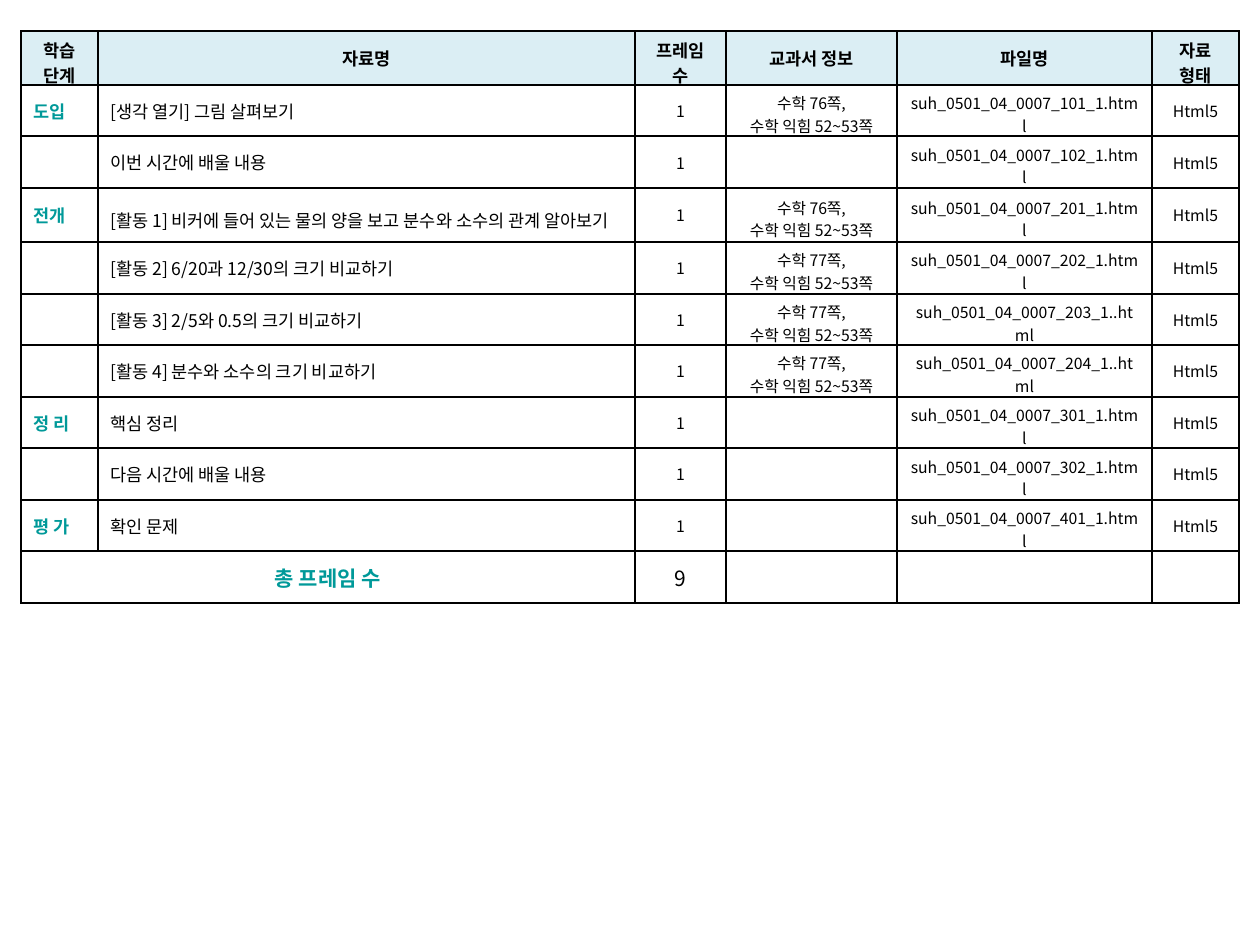
from lxml.etree import SubElement
from pptx import Presentation
from pptx.dml.color import RGBColor
from pptx.enum.text import MSO_ANCHOR, PP_ALIGN
from pptx.oxml.ns import qn
from pptx.util import Emu, Pt

PX = 914400 // 126
FONT = "Noto Sans CJK KR"
BLACK, TEAL, HEADER_FILL = "000000", "009999", "DBEEF4"

LEFT, TOP = 21, 31
COLUMN_WIDTHS = [77, 537, 91, 171, 255, 87]
HEADER_HEIGHT = 54
ROW_HEIGHTS = [51, 52]  # alternating below the header

HEADERS = ["학습 단계", "자료명", "프레임 수", "교과서 정보", "파일명", "자료\n형태"]
PAGES_76 = "수학 76쪽,\n수학 익힘 52~53쪽"
PAGES_77 = "수학 77쪽,\n수학 익힘 52~53쪽"
MATERIALS = [  # stage, material, textbook pages, file
    ("도입", "[생각 열기] 그림 살펴보기", PAGES_76, "suh_0501_04_0007_101_1.html"),
    ("", "이번 시간에 배울 내용", "", "suh_0501_04_0007_102_1.html"),
    ("전개", "[활동 1] 비커에 들어 있는 물의 양을 보고 분수와 소수의 관계 알아보기",
     PAGES_76, "suh_0501_04_0007_201_1.html"),
    ("", "[활동 2] 6/20과 12/30의 크기 비교하기", PAGES_77, "suh_0501_04_0007_202_1.html"),
    ("", "[활동 3] 2/5와 0.5의 크기 비교하기", PAGES_77, "suh_0501_04_0007_203_1..html"),
    ("", "[활동 4] 분수와 소수의 크기 비교하기", PAGES_77, "suh_0501_04_0007_204_1..html"),
    ("정 리", "핵심 정리", "", "suh_0501_04_0007_301_1.html"),
    ("", "다음 시간에 배울 내용", "", "suh_0501_04_0007_302_1.html"),
    ("평 가", "확인 문제", "", "suh_0501_04_0007_401_1.html"),
]
TOTAL = ["총 프레임 수", "", str(len(MATERIALS)), "", "", ""]

# size, colour, bold, alignment, bottom margin (tight where text takes two lines)
HEADER = (10, BLACK, True, PP_ALIGN.CENTER, 6)
HEADER_TWO_LINES = (10, BLACK, True, PP_ALIGN.CENTER, -3)
STAGE = (10, TEAL, True, PP_ALIGN.JUSTIFY, 6)
MATERIAL = (10, BLACK, False, PP_ALIGN.LEFT, 6)
MATERIAL_TWO_LINES = (10, BLACK, False, PP_ALIGN.LEFT, -3)
DETAIL = (9, BLACK, False, PP_ALIGN.CENTER, 6)
DETAIL_TWO_LINES = (9, BLACK, False, PP_ALIGN.CENTER, -1)
TOTAL_LABEL = (12, TEAL, True, PP_ALIGN.CENTER, 6)
TOTAL_VALUE = (12, BLACK, False, PP_ALIGN.CENTER, 6)

HEADER_STYLES = [HEADER_TWO_LINES, HEADER, HEADER_TWO_LINES,
                 HEADER, HEADER, HEADER_TWO_LINES]
TOTAL_STYLES = [TOTAL_LABEL] * 2 + [TOTAL_VALUE] * 4
LONGEST_LINE = 30  # characters of a material name that fit on one line


def px(value):
    return Emu(value * PX)


def rgb(value):
    return RGBColor.from_string(value)


def add_borders(cell):
    properties = cell._tc.get_or_add_tcPr()
    for side in ("lnL", "lnR", "lnT", "lnB"):
        line = SubElement(properties, qn(f"a:{side}"), w=str(Pt(1)))
        fill = SubElement(line, qn("a:solidFill"))
        SubElement(fill, qn("a:srgbClr"), val=BLACK)


def write_paragraph(paragraph, text, size, color, bold, alignment):
    paragraph.alignment = alignment
    if not text:
        # Keeps an empty cell from growing its row
        SubElement(paragraph._p, qn("a:endParaRPr"), sz=str(size * 100))
        return
    run = paragraph.add_run()
    run.text = text
    for name, value in {"size": Pt(size), "bold": bold, "name": FONT}.items():
        setattr(run.font, name, value)
    run.font.color.rgb = rgb(color)
    properties = run._r.get_or_add_rPr()
    properties.set("kern", "0")
    SubElement(properties, qn("a:ea"), typeface=FONT)


def fill_cell(cell, text, style, fill):
    *text_style, bottom = style
    add_borders(cell)
    if fill:
        cell.fill.solid()
        cell.fill.fore_color.rgb = rgb(fill)
    else:
        cell.fill.background()
    cell.vertical_anchor = MSO_ANCHOR.MIDDLE
    cell.margin_bottom = px(bottom)
    frame = cell.text_frame
    for index, line in enumerate(text.split("\n")):
        paragraph = frame.add_paragraph() if index else frame.paragraphs[0]
        write_paragraph(paragraph, line, *text_style)


def main():
    rows = [(HEADERS, HEADER_STYLES, HEADER_FILL)]
    for stage, material, pages, file_name in MATERIALS:
        material_style = MATERIAL_TWO_LINES if len(material) > LONGEST_LINE else MATERIAL
        styles = [STAGE, material_style, DETAIL, DETAIL_TWO_LINES, DETAIL_TWO_LINES, DETAIL]
        rows.append(([stage, material, "1", pages, file_name, "Html5"], styles, None))
    rows.append((TOTAL, TOTAL_STYLES, None))
    heights = [HEADER_HEIGHT] + [ROW_HEIGHTS[i % 2] for i in range(len(rows) - 1)]

    presentation = Presentation()
    presentation.slide_width, presentation.slide_height = px(1260), px(945)
    slide = presentation.slides.add_slide(presentation.slide_layouts[6])
    table = slide.shapes.add_table(
        len(rows), len(HEADERS), px(LEFT), px(TOP),
        px(sum(COLUMN_WIDTHS)), px(sum(heights))).table
    table.first_row = table.horz_banding = False
    for column, width in zip(table.columns, COLUMN_WIDTHS):
        column.width = px(width)
    for row, height, (texts, styles, fill) in zip(table.rows, heights, rows):
        row.height = px(height)
        for cell, text, style in zip(row.cells, texts, styles):
            fill_cell(cell, text, style, fill)
    last = len(rows) - 1
    table.cell(last, 0).merge(table.cell(last, 1))
    presentation.save("out.pptx")


if __name__ == "__main__":
    main()
